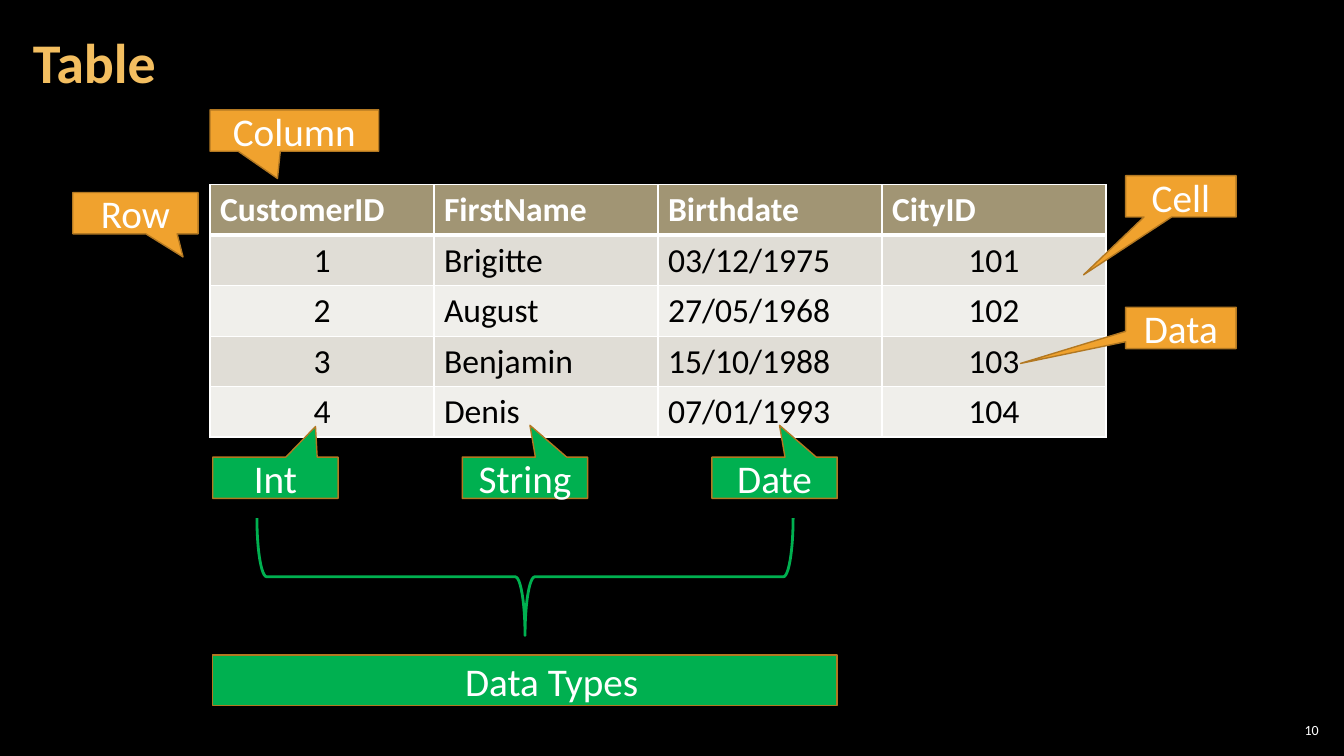
from lxml import etree
from pptx import Presentation
from pptx.dml.color import RGBColor
from pptx.enum.shapes import MSO_SHAPE
from pptx.enum.text import MSO_ANCHOR, PP_ALIGN
from pptx.oxml.ns import qn
from pptx.util import Pt

CALLOUT, BRACE = MSO_SHAPE.RECTANGULAR_CALLOUT, MSO_SHAPE.RIGHT_BRACE
PROCESS = MSO_SHAPE.FLOWCHART_PROCESS
MIDDLE = MSO_ANCHOR.MIDDLE
LEFT, CENTER, RIGHT = PP_ALIGN.LEFT, PP_ALIGN.CENTER, PP_ALIGN.RIGHT

BLACK = RGBColor(0x00, 0x00, 0x00)
WHITE = RGBColor(0xFF, 0xFF, 0xFF)
GOLD = RGBColor(0xF3, 0xBE, 0x60)
ORANGE = RGBColor(0xF0, 0xA2, 0x2E)
BROWN = RGBColor(0xB2, 0x78, 0x22)
GREEN = RGBColor(0x00, 0xB0, 0x50)
HEADER_FILL = RGBColor(0xA1, 0x95, 0x74)
BAND_FILLS = (RGBColor(0xF0, 0xEF, 0xEB), RGBColor(0xE0, 0xDD, 0xD6))

# Content
TITLE = "Table"
PAGE_NUMBER = "10"
ROWS = [
    ("CustomerID", "FirstName", "Birthdate", "CityID"),
    ("1", "Brigitte", "03/12/1975", "101"),
    ("2", "August", "27/05/1968", "102"),
    ("3", "Benjamin", "15/10/1988", "103"),
    ("4", "Denis", "07/01/1993", "104"),
]
NUMBER_COLUMNS = (0, 3)
# Label, left, top, width, pointer offset as a share of the callout size
PART_CALLOUTS = [
    ("Column", 150, 78.5, 120.5, (-0.1, 1.16)),
    ("Row", 52, 137.5, 89.5, (0.38, 1.06)),
    ("Cell", 804, 125.5, 79, (-0.88, 1.9)),
    ("Data", 804, 219.5, 79, (-1.45, 0.86)),
]
TYPE_CALLOUTS = [
    ("Int", (0.32, -1.24)),
    ("String", (0.04, -1.27)),
    ("Date", (0.04, -1.27)),
]
SUMMARY = "Data Types"

# Layout
TABLE_LEFT, TABLE_TOP, COLUMN_WIDTH, ROW_HEIGHT = 150, 132, 160, 36
CALLOUT_HEIGHT = 29.5
TYPES_LEFT, TYPES_TOP, TYPES_WIDTH, TYPE_WIDTH = 152, 326.5, 446, 89.5
TYPE_STEP = (TYPES_WIDTH - TYPE_WIDTH) / (len(TYPE_CALLOUTS) - 1)
BRACE_SPAN, BRACE_DEPTH, BRACE_TOP = 383, 84, 370
SUMMARY_TOP, SUMMARY_HEIGHT, SUMMARY_INDENT = 468, 36, 38


def write(frame, text, align, **formats):
    para = frame.paragraphs[0]
    para.alignment = align
    span = para.add_run()
    span.text = text
    span.font.name = "Calibri"
    span.font.color.rgb = formats.pop("color")
    for name, value in formats.items():
        setattr(span.font, name, value)


def add_label(page, kind, text, area, fill):
    box = page.shapes.add_shape(kind, *map(Pt, area))
    box.shadow.inherit = False
    box.fill.solid()
    box.fill.fore_color.rgb = fill
    box.line.color.rgb = BROWN
    box.line.width = Pt(1)
    box.text_frame.vertical_anchor = MIDDLE
    write(box.text_frame, text, CENTER, size=Pt(28), color=WHITE)
    return box


def add_callout(page, text, area, pointer, fill):
    box = add_label(page, CALLOUT, text, area, fill)
    box.adjustments[0], box.adjustments[1] = pointer


def add_borders(cell, widths):
    properties = cell._tc.get_or_add_tcPr()
    for side, width in widths.items():
        line = etree.SubElement(properties, qn("a:ln" + side), w=str(Pt(width)))
        fill = etree.SubElement(line, qn("a:solidFill"))
        etree.SubElement(fill, qn("a:srgbClr"), val=str(WHITE))


def add_customer_table(page):
    count, columns = len(ROWS), len(ROWS[0])
    area = (TABLE_LEFT, TABLE_TOP, COLUMN_WIDTH * columns, ROW_HEIGHT * count)
    table = page.shapes.add_table(count, columns, *map(Pt, area)).table
    for row, values in enumerate(ROWS):
        header = row == 0
        for column, text in enumerate(values):
            cell = table.cell(row, column)
            add_borders(cell, {"L": 1, "R": 1, "T": 3 if row == 1 else 1,
                               "B": 3 if header else 1})
            cell.fill.solid()
            cell.fill.fore_color.rgb = HEADER_FILL if header else BAND_FILLS[row % 2]
            centered = column in NUMBER_COLUMNS and not header
            write(cell.text_frame, text, CENTER if centered else LEFT,
                  size=Pt(24), bold=header, color=WHITE if header else BLACK)


def main():
    deck = Presentation()
    deck.slide_width, deck.slide_height = Pt(960), Pt(540)
    page = deck.slides.add_slide(deck.slide_layouts[5])
    page.background.fill.solid()
    page.background.fill.fore_color.rgb = BLACK

    # Title
    title = page.shapes.title
    title.left, title.top, title.width, title.height = map(Pt, (15, 3, 754, 87))
    frame = title.text_frame
    frame.vertical_anchor = MIDDLE
    frame.margin_left = frame.margin_right = Pt(8.5)
    frame.margin_top = frame.margin_bottom = Pt(3)
    frame.paragraphs[0].line_spacing = 0.9
    write(frame, TITLE, LEFT, size=Pt(40), bold=True, color=GOLD)

    # Page number
    frame = page.shapes.add_textbox(*map(Pt, (911, 514, 34, 15))).text_frame
    frame.word_wrap = True
    frame.vertical_anchor = MIDDLE
    for side in ("left", "right", "top", "bottom"):
        setattr(frame, "margin_" + side, Pt(3))
    write(frame, PAGE_NUMBER, RIGHT, size=Pt(10), color=WHITE)

    # Table and its callouts
    add_customer_table(page)
    for text, left, top, width, pointer in PART_CALLOUTS:
        add_callout(page, text, (left, top, width, CALLOUT_HEIGHT), pointer, ORANGE)
    for index, (text, pointer) in enumerate(TYPE_CALLOUTS):
        area = (TYPES_LEFT + index * TYPE_STEP, TYPES_TOP, TYPE_WIDTH, CALLOUT_HEIGHT)
        add_callout(page, text, area, pointer, GREEN)

    # Brace, turned to open upwards and centred under the type callouts
    middle_x = TYPES_LEFT + TYPES_WIDTH / 2
    middle_y = BRACE_TOP + BRACE_DEPTH / 2
    area = (middle_x - BRACE_DEPTH / 2, middle_y - BRACE_SPAN / 2, BRACE_DEPTH, BRACE_SPAN)
    brace = page.shapes.add_shape(BRACE, *map(Pt, area))
    brace.rotation = 90
    brace.shadow.inherit = False
    brace.fill.background()
    brace.line.color.rgb = GREEN
    brace.line.width = Pt(2)

    # Summary bar
    area = (TYPES_LEFT, SUMMARY_TOP, TYPES_WIDTH, SUMMARY_HEIGHT)
    bar = add_label(page, PROCESS, SUMMARY, area, GREEN)
    bar.text_frame.margin_left += Pt(SUMMARY_INDENT)

    deck.save("out.pptx")


if __name__ == "__main__":
    main()
